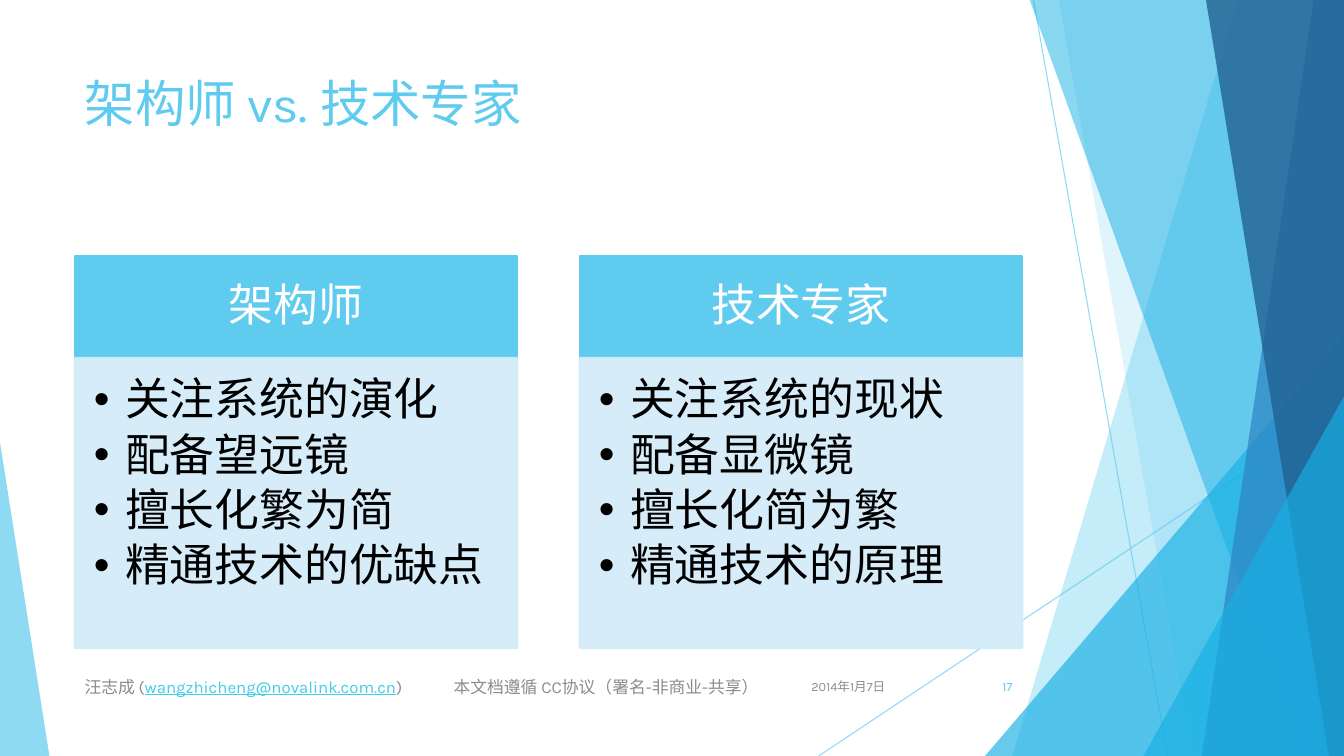
from lxml import etree
from pptx import Presentation
from pptx.dml.color import RGBColor
from pptx.enum.shapes import MSO_CONNECTOR, MSO_SHAPE
from pptx.enum.text import MSO_ANCHOR, MSO_AUTO_SIZE, PP_ALIGN
from pptx.oxml.ns import qn
from pptx.util import Pt

PX = 9144  # 100 px to the inch
WIDTH, HEIGHT = 1333, 750
FONT = "Karla"
COLORS = {
    "sky": "5FCBEF", "cyan": "17B0E4", "blue": "2E83C3", "navy": "226292",
    "pale": "D2ECF9", "link": "3FCDE7", "gray": "8C8C8C",
    "white": "FFFFFF", "black": "000000",
}
TOP, MIDDLE = MSO_ANCHOR.TOP, MSO_ANCHOR.MIDDLE
LEFT, CENTER, RIGHT = PP_ALIGN.LEFT, PP_ALIGN.CENTER, PP_ALIGN.RIGHT
NO_AUTOFIT = MSO_AUTO_SIZE.NONE
STRAIGHT = MSO_CONNECTOR.STRAIGHT
TRIANGLE = MSO_SHAPE.ISOSCELES_TRIANGLE

# Shards at the right edge: top left, top right, bottom right, bottom left x
SHARDS_BEHIND = [
    ((1228, WIDTH, WIDTH, 1004), "sky", 36),
    ((1050, WIDTH, WIDTH, 1183), "sky", 20),
]
SHARDS_FRONT = [
    ((1021, WIDTH, WIDTH, 1291), "cyan", 50),
    ((1303, WIDTH, WIDTH, 1192), "blue", 70),
    ((1196, WIDTH, WIDTH, 1318), "navy", 80),
]
COLUMNS = [
    ("架构师", ["关注系统的演化", "配备望远镜", "擅长化繁为简", "精通技术的优缺点"]),
    ("技术专家", ["关注系统的现状", "配备显微镜", "擅长化简为繁", "精通技术的原理"]),
]


def rgb(name):
    return RGBColor.from_string(COLORS[name])


def paint(fill, color, opacity=100):
    """Fill with a solid colour at an opacity in percent."""
    fill.solid()
    fill.fore_color.rgb = rgb(color)
    if opacity < 100:
        scheme = fill._xPr.find(qn("a:solidFill"))[0]
        etree.SubElement(scheme, qn("a:alpha"), val=str(opacity * 1000))


def place(shape, box):
    shape.left, shape.top, shape.width, shape.height = [v * PX for v in box]


def add_span(para, text, size, color, underline=False):
    span = para.add_run()
    span.text = text
    font = span.font
    font.name, font.size, font.bold = FONT, Pt(size), False
    font.color.rgb = rgb(color)
    if underline:
        font.underline = True


def set_frame(shape, anchor, insets=(10, 5, 10, 5)):
    frame = shape.text_frame
    frame.word_wrap = True
    frame.auto_size = NO_AUTOFIT
    frame.vertical_anchor = anchor
    (frame.margin_left, frame.margin_top,
     frame.margin_right, frame.margin_bottom) = [v * PX for v in insets]
    return frame


def add_shard(page, corners, color, opacity):
    top_left, top_right, bottom_right, bottom_left = corners
    builder = page.shapes.build_freeform(top_left, -1, scale=PX)
    builder.add_line_segments([
        (top_right, -1), (bottom_right, HEIGHT), (bottom_left, HEIGHT)])
    finish_facet(builder.convert_to_shape(), color, opacity)


def add_triangle(page, box, peak, color, opacity):
    shape = page.shapes.add_shape(TRIANGLE, *[v * PX for v in box])
    shape.adjustments[0] = peak
    finish_facet(shape, color, opacity)


def finish_facet(shape, color, opacity):
    paint(shape.fill, color, opacity)
    shape.line.fill.background()
    shape.shadow.inherit = False


def add_thin_line(page, start, end):
    line = page.shapes.add_connector(
        STRAIGHT, *[v * PX for v in (*start, *end)])
    line.line.width = Pt(0.75)
    paint(line.line.fill, "sky", 70)
    etree.SubElement(line._element.spPr, qn("a:effectLst"))


def add_decoration(page):
    add_thin_line(page, (1025, 0), (1158, HEIGHT))
    add_thin_line(page, (WIDTH, 403), (812, HEIGHT))
    for shard in SHARDS_BEHIND:
        add_shard(page, *shard)
    add_triangle(page, (977, 333, 356, 417), 1, "cyan", 66)
    for shard in SHARDS_FRONT:
        add_shard(page, *shard)
    add_triangle(page, (1134, 393, 199, 357), 1, "cyan", 66)
    add_triangle(page, (0, 439, 49, 311), 0, "sky", 70)


def fill_title(title, box):
    place(title, box)
    para = set_frame(title, TOP).paragraphs[0]
    para.alignment = LEFT
    add_span(para, "架构师 vs. 技术专家", 36, "sky")


def fill_panel(shape, box, color, opacity):
    place(shape, box)
    paint(shape.fill, color, opacity)
    shape.line.width = Pt(1.5)
    paint(shape.line.fill, color, opacity)


def set_spacing(para, after):
    para.line_spacing = 0.9
    para.space_before = Pt(0)
    para.space_after = Pt(after)


def add_bullet(para):
    props = para._p.get_or_add_pPr()
    props.set("marL", str(31 * PX))
    props.set("indent", str(-31 * PX))
    etree.SubElement(props, qn("a:buFont"), typeface="Arial")
    etree.SubElement(props, qn("a:buChar"), char="•")


def fill_column(heading, body, box, name, points):
    left, top, width, height = box
    heading_height = 101
    fill_panel(heading, (left, top, width, heading_height), "sky", 100)
    para = set_frame(heading, MIDDLE, (25, 14, 25, 14)).paragraphs[0]
    para.alignment = CENTER
    set_spacing(para, 0)
    add_span(para, name, 32, "white")

    fill_panel(body, (left, top + heading_height, width,
                      height - heading_height), "pale", 90)
    frame = set_frame(body, TOP, (19, 19, 25, 28))
    for index, point in enumerate(points):
        para = frame.add_paragraph() if index else frame.paragraphs[0]
        add_bullet(para)
        set_spacing(para, 5)
        add_span(para, point, 32, "black")


def add_footer_box(page, left, width, alignment):
    """Return the paragraph of a new box in the footer row."""
    box = page.shapes.add_textbox(*[v * PX for v in (left, 661, width, 40)])
    para = set_frame(box, MIDDLE).paragraphs[0]
    para.alignment = alignment
    return para


def add_footer(page):
    add_span(add_footer_box(page, 788, 100, RIGHT), "2014年1月7日", 9, "gray")
    add_span(add_footer_box(page, 939, 75, RIGHT), "17", 9, "sky")
    para = add_footer_box(page, 74, 689, LEFT)
    tabs = etree.SubElement(para._p.get_or_add_pPr(), qn("a:tabLst"))
    etree.SubElement(tabs, qn("a:tab"), pos=str(366 * PX), algn="l")
    add_span(para, "汪志成 (", 12, "gray")
    add_span(para, "wangzhicheng@novalink.com.cn", 12, "link", underline=True)
    add_span(para, ")\t本文档遵循 CC协议（署名-非商业-共享）", 12, "gray")


def build_comparison(deck):
    page = deck.slides.add_slide(deck.slide_layouts.get_by_name("Comparison"))
    title, *panels = list(page.placeholders)
    add_decoration(page)
    for holder in (title, *panels):  # bring the text in front of the shards
        page.shapes._spTree.append(holder._element)
    fill_title(title, (74, 67, 940, 144))
    for index, (name, points) in enumerate(COLUMNS):
        heading, body = panels[2 * index:2 * index + 2]
        fill_column(heading, body, (74 + 501 * index, 254, 439, 389),
                    name, points)
    add_footer(page)


def main():
    deck = Presentation()
    deck.slide_width, deck.slide_height = WIDTH * PX, HEIGHT * PX
    build_comparison(deck)
    deck.save("out.pptx")


if __name__ == "__main__":
    main()
